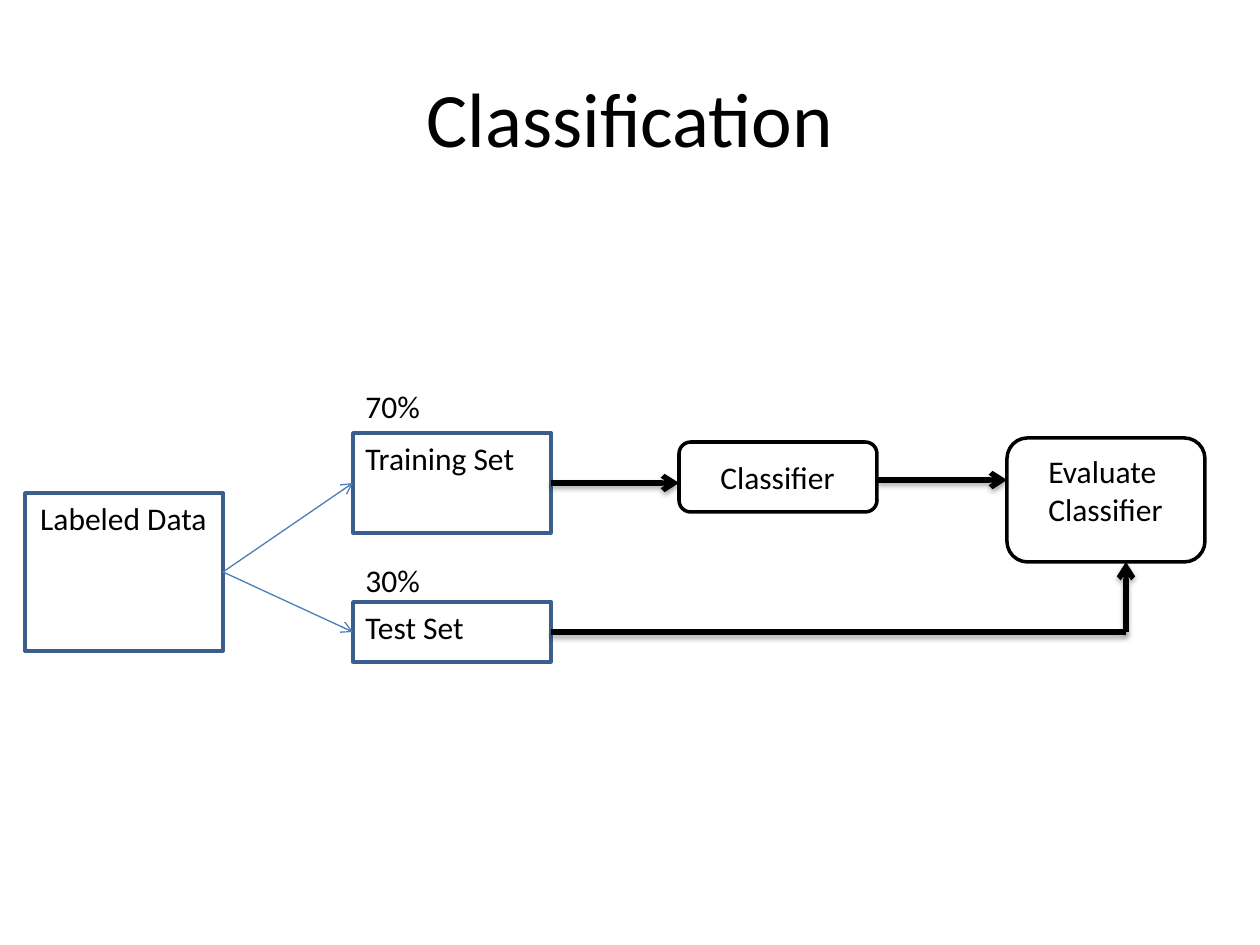
"""Build the slide on splitting labeled data to train and test a classifier."""
import pptx
import pptx.dml.color
import pptx.enum.shapes
import pptx.enum.text
import pptx.oxml
import pptx.oxml.ns
import pptx.util

RGB = pptx.dml.color.RGBColor
KIND = pptx.enum.shapes.MSO_SHAPE
ALIGN = pptx.enum.text.PP_ALIGN
BLACK = RGB(0, 0, 0)
NAVY = RGB(0x3A, 0x5F, 0x8C)
BLUE = RGB(0x4B, 0x7E, 0xBC)
FONT = "Calibri"
SCALE = 914400 // 126
TOP, LEFT, BASE, RIGHT = range(4)

TITLE = ("Classification", (63, 38, 1134, 157))

BOXES = {
    "data": (KIND.RECTANGLE, NAVY, (25, 493, 198, 158)),
    "train": (KIND.RECTANGLE, NAVY, (353, 433, 198, 100)),
    "test": (KIND.RECTANGLE, NAVY, (353, 602, 198, 60)),
    "model": (KIND.ROUNDED_RECTANGLE, BLACK, (679, 442, 198, 70)),
    "grade": (KIND.ROUNDED_RECTANGLE, BLACK, (1007, 438, 198, 124)),
}

LABELS = [
    (["Labeled Data"], (25, 493, 197, 50), ALIGN.CENTER),
    (["Training Set"], (353, 433, 176, 50), ALIGN.LEFT),
    (["Test Set"], (353, 602, 125, 50), ALIGN.LEFT),
    (["Classifier"], (708, 452, 141, 50), ALIGN.LEFT),
    (["Evaluate", "Classifier"], (1036, 446, 142, 89), ALIGN.LEFT),
    (["70%"], (353, 381, 81, 50), ALIGN.LEFT),
    (["30%"], (353, 555, 81, 50), ALIGN.LEFT),
]

THIN = (BLUE, 0.75, False)
BOLD = (BLACK, 3, True)
LINKS = [
    (("data", RIGHT), ("train", LEFT), THIN, True),
    (("data", RIGHT), ("test", LEFT), THIN, True),
    (("train", RIGHT), (679, 483), BOLD, True),
    ((878, 480), (1007, 480), BOLD, True),
    (("test", RIGHT), (1126, 632), BOLD, False),
    ((1126, 632), (1126, 562), BOLD, True),
]

SHADE = (
    '<a:outerShdw blurRad="39370" dist="22860" dir="5400000" rotWithShape="0">'
    '<a:srgbClr val="000000"><a:alpha val="35000"/></a:srgbClr></a:outerShdw>'
)


def emu(vals):
    return [val * SCALE for val in vals]


def write(par, text, size, align):
    par.alignment = align
    run = par.add_run()
    run.text = text
    run.font.name = FONT
    run.font.size = pptx.util.Pt(size)
    run.font.color.rgb = BLACK


def head(slide):
    text, area = TITLE
    shape = slide.shapes.title
    shape.left, shape.top, shape.width, shape.height = emu(area)
    shape.text_frame.vertical_anchor = pptx.enum.text.MSO_ANCHOR.MIDDLE
    write(shape.text_frame.paragraphs[0], text, 44, ALIGN.CENTER)


def box(slide, kind, color, area):
    shape = slide.shapes.add_shape(kind, *emu(area))
    shape.shadow.inherit = False
    shape.fill.background()
    shape.line.color.rgb = color
    shape.line.width = pptx.util.Pt(2)
    return shape


def label(slide, rows, area, align):
    frame = slide.shapes.add_textbox(*emu(area)).text_frame
    frame.word_wrap = align == ALIGN.CENTER
    frame.auto_size = pptx.enum.text.MSO_AUTO_SIZE.SHAPE_TO_FIT_TEXT
    for num, row in enumerate(rows):
        par = frame.add_paragraph() if num else frame.paragraphs[0]
        write(par, row, 18, align)


def link(slide, shapes, start, end, style, arrow):
    color, width, shade = style
    ends = [(0, 0) if spot[0] in shapes else spot for spot in (start, end)]
    line = slide.shapes.add_connector(
        pptx.enum.shapes.MSO_CONNECTOR.STRAIGHT, *emu(ends[0] + ends[1]))
    for spot, join in ((start, line.begin_connect), (end, line.end_connect)):
        if spot[0] in shapes:
            join(shapes[spot[0]], spot[1])
    line.line.color.rgb = color
    line.line.width = pptx.util.Pt(width)
    space = pptx.oxml.ns.nsdecls("a")
    if arrow:
        line.line._get_or_add_ln().append(
            pptx.oxml.parse_xml(f'<a:tailEnd {space} type="arrow"/>'))
    line._element.spPr.append(pptx.oxml.parse_xml(
        f'<a:effectLst {space}>{SHADE if shade else ""}</a:effectLst>'))


def main():
    deck = pptx.Presentation()
    deck.slide_width, deck.slide_height = emu((1260, 945))
    slide = deck.slides.add_slide(deck.slide_layouts[5])
    head(slide)
    shapes = {name: box(slide, *spec) for name, spec in BOXES.items()}
    for item in LABELS:
        label(slide, *item)
    for item in LINKS:
        link(slide, shapes, *item)
    deck.save("out.pptx")


if __name__ == "__main__":
    main()
